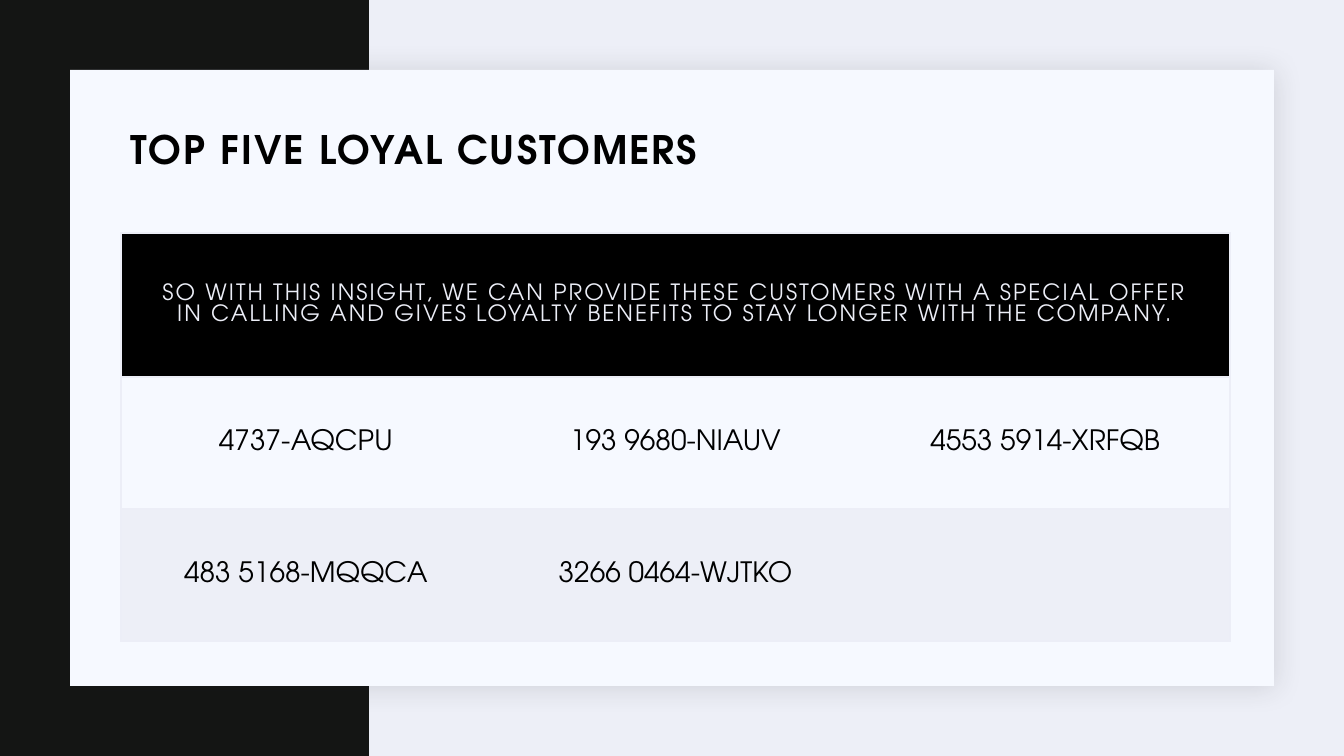
"""Build the slide of the five most loyal customers."""
from lxml.etree import SubElement
from pptx import Presentation
from pptx.dml.color import RGBColor
from pptx.enum.shapes import MSO_SHAPE
from pptx.enum.text import MSO_ANCHOR, PP_ALIGN
from pptx.oxml import parse_xml
from pptx.oxml.ns import nsdecls, qn
from pptx.util import Pt

SCALE = 914400 / 100.8
FONT = "TeX Gyre Adventor"
BLACK, PALE, MIST, EDGE = "000000", "F6F9FF", "EDEFF7", "ECEEF7"


def px(*sizes):
    return [round(size * SCALE) for size in sizes]


def paint(fill, color):
    fill.solid()
    fill.fore_color.rgb = RGBColor.from_string(color)


deck = Presentation()
deck.slide_width, deck.slide_height = px(1344, 756)
slide = deck.slides.add_slide(deck.slide_layouts[6])
paint(slide.background.fill, MIST)

for box, color in (((0, 0, 369, 756), "141514"), ((70, 70, 1204, 616), PALE)):
    panel = slide.shapes.add_shape(MSO_SHAPE.RECTANGLE, *px(*box))
    panel.shadow.inherit = False
    paint(panel.fill, color)
    panel.line.fill.background()
glow = panel._element.spPr.find(qn("a:effectLst"))
glow.append(parse_xml(
    f'<a:outerShdw {nsdecls("a")} blurRad="{Pt(20)}" dist="{Pt(2)}" dir="2700000" '
    'algn="ctr" rotWithShape="0"><a:srgbClr val="1F2125">'
    '<a:alpha val="15000"/></a:srgbClr></a:outerShdw>'))

title = slide.shapes.add_textbox(*px(121, 120, 1109, 64)).text_frame
title.word_wrap = True
title.vertical_anchor = MSO_ANCHOR.MIDDLE
head = title.paragraphs[0]
head.line_spacing = 0.9
run = head.add_run()
run.text = "TOP FIVE LOYAL CUSTOMERS"
run.font.name, run.font.size, run.font.bold = FONT, Pt(28), True
run.font.color.rgb = RGBColor.from_string(BLACK)
run._r.get_or_add_rPr().set("spc", "150")

rows = [
    (144, BLACK, EDGE, 16, "150", [
        "SO WITH THIS INSIGHT, WE CAN PROVIDE THESE CUSTOMERS WITH A SPECIAL "
        "OFFER IN CALLING AND GIVES LOYALTY BENEFITS TO STAY LONGER WITH THE "
        "COMPANY.", "", ""]),
    (132, PALE, BLACK, 20, "0", ["4737-AQCPU", "193 9680-NIAUV", "4553 5914-XRFQB"]),
    (132, MIST, BLACK, 20, "0", ["483 5168-MQQCA", "3266 0464-WJTKO", ""]),
]
table = slide.shapes.add_table(3, 3, *px(121, 233, 1109, 408)).table
for col in table.columns:
    col.width = px(1109 / 3)[0]
table.cell(0, 0).merge(table.cell(0, 2))

for r, (height, back, ink, size, space, words) in enumerate(rows):
    table.rows[r].height = px(height)[0]
    for c, word in enumerate(words):
        cell = table.cell(r, c)
        cell.vertical_anchor = MSO_ANCHOR.MIDDLE
        cell.margin_left = cell.margin_right = px(25)[0]
        cell.margin_top = cell.margin_bottom = px(25)[0]
        props = cell._tc.get_or_add_tcPr()
        for side in "LRTB":
            drawn = (side in "TB" or r == 0 or (side, c) in (("L", 0), ("R", 2)))
            line = SubElement(props, qn(f"a:ln{side}"), w=str(Pt(1)))
            if drawn:
                solid = SubElement(line, qn("a:solidFill"))
                SubElement(solid, qn("a:srgbClr"), val=EDGE)
            else:
                SubElement(line, qn("a:noFill"))
        paint(cell.fill, back)
        if word:
            para = cell.text_frame.paragraphs[0]
            para.alignment = PP_ALIGN.CENTER
            run = para.add_run()
            run.text = word
            run.font.name, run.font.size = FONT, Pt(size)
            run.font.color.rgb = RGBColor.from_string(ink)
            run._r.get_or_add_rPr().set("spc", space)

deck.save("out.pptx")
